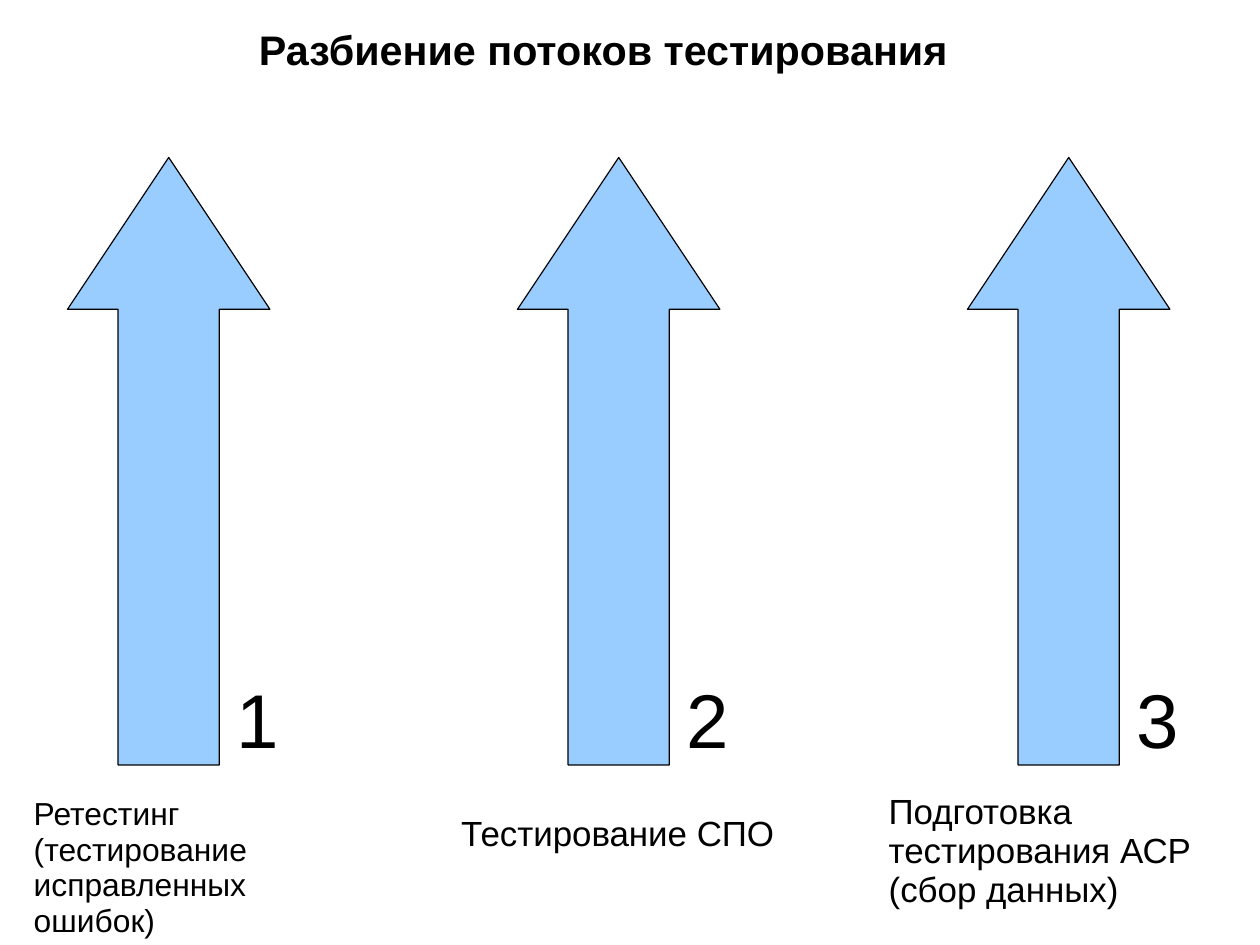
from dataclasses import dataclass

from pptx import Presentation
from pptx import util as u
from pptx.dml.color import RGBColor
from pptx.enum import shapes, text

COLUMNS, ROWS = 28, 21
CELL = u.Cm(1)
LANE_WIDTH = 10


@dataclass(frozen=True)
class Theme:
    """Colours, font and type sizes of the slide."""
    font: str = "Arial"
    ink: RGBColor = RGBColor(0x00, 0x00, 0x00)
    arrow: RGBColor = RGBColor(0x99, 0xCC, 0xFF)
    outline: float = 0.75
    title: int = 26
    number: int = 48
    caption: int = 22
    small_caption: int = 20
    line_spacing: float = 0.93


@dataclass(frozen=True)
class Stream:
    """A testing stream, with its caption box measured from its lane."""
    lines: tuple
    size: int
    caption_box: tuple


THEME = Theme()
STREAMS = (
    Stream(("Ретестинг", "(тестирование исправленных ошибок)"),
           THEME.small_caption, (0.5, 17.6, 8, 3.4)),
    Stream(("Тестирование СПО",), THEME.caption, (0, 18, 8.5, 1.12)),
    Stream(("Подготовка тестирования АСР (сбор данных)",),
           THEME.caption, (-0.5, 17.5, 8.5, 2.84)),
)


def grid(left, top, width, height):
    """Turn columns and rows into slide lengths."""
    return [round(value * CELL) for value in (left, top, width, height)]


def write(shape, lines, size, bold=False):
    """Fill a shape with left-aligned paragraphs in the theme's font."""
    frame = shape.text_frame
    frame.word_wrap = True
    frame.auto_size = text.MSO_AUTO_SIZE.NONE
    frame.vertical_anchor = text.MSO_ANCHOR.TOP
    frame.text = "\n".join(lines)
    for paragraph in frame.paragraphs:
        paragraph.alignment = text.PP_ALIGN.LEFT
        paragraph.line_spacing = THEME.line_spacing
        paragraph.space_before = u.Pt(0)
        paragraph.font.name = THEME.font
        paragraph.font.size = u.Pt(size)
        paragraph.font.bold = bold
        paragraph.font.color.rgb = THEME.ink


def add_title(slide, box, title):
    """Place the slide title in its placeholder."""
    shape = slide.shapes.title
    shape.left, shape.top, shape.width, shape.height = grid(*box)
    write(shape, [title], THEME.title, bold=True)


def add_arrow(slide, box):
    """Draw one upward block arrow."""
    arrow = slide.shapes.add_shape(shapes.MSO_SHAPE.UP_ARROW, *grid(*box))
    arrow.adjustments[0], arrow.adjustments[1] = 0.5, 0.75
    arrow.shadow.inherit = False
    arrow.fill.solid()
    arrow.fill.fore_color.rgb = THEME.arrow
    arrow.line.color.rgb = THEME.ink
    arrow.line.width = u.Pt(THEME.outline)


def add_stream(slide, box, number, stream):
    """Draw a lane with its arrow, number and caption."""
    left, top, _, _ = box
    add_arrow(slide, (left + 1.5, top + 3.5, 4.5, 13.5))
    number_box = slide.shapes.add_textbox(*grid(left + 5, top + 15, 2, 2.13))
    write(number_box, [str(number)], THEME.number)
    x, y, width, height = stream.caption_box
    caption = slide.shapes.add_textbox(*grid(left + x, top + y, width, height))
    write(caption, stream.lines, stream.size)


def main():
    """Build and save the presentation."""
    presentation = Presentation()
    presentation.slide_width = COLUMNS * CELL
    presentation.slide_height = ROWS * CELL
    slide = presentation.slides.add_slide(presentation.slide_layouts[5])
    add_title(slide, (5.5, 0.5, 20.5, 1.3), "Разбиение потоков тестирования")
    for index, stream in enumerate(STREAMS):
        lane = (index * LANE_WIDTH, 0, LANE_WIDTH, ROWS)
        add_stream(slide, lane, index + 1, stream)
    presentation.save("out.pptx")


if __name__ == "__main__":
    main()
